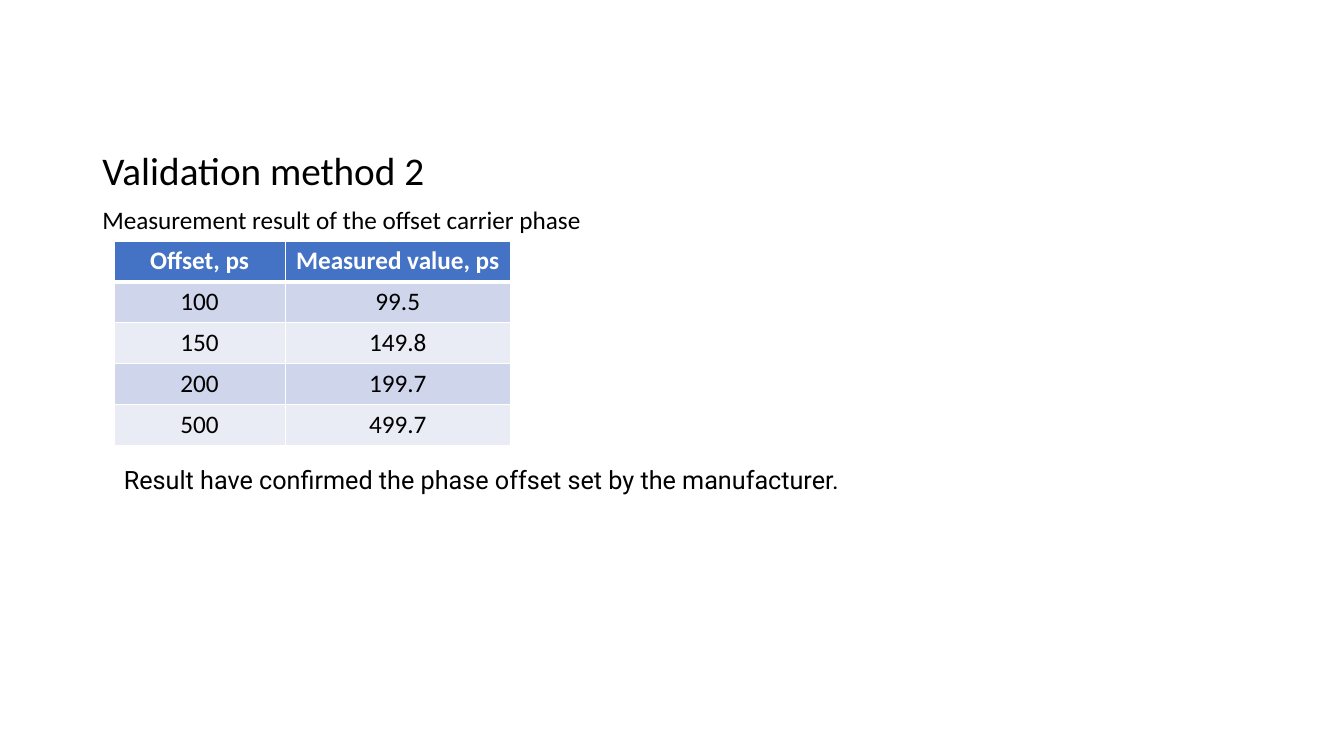
from dataclasses import dataclass

from lxml.etree import SubElement
from pptx import Presentation
from pptx.dml.color import RGBColor
from pptx.enum.text import MSO_ANCHOR, PP_ALIGN
from pptx.oxml.ns import qn
from pptx.util import Pt

BLACK, WHITE = "000000", "FFFFFF"
HEADER_FILL = "4472C4"
BAND_FILLS = ("CFD5EA", "E9EBF5")
ROW_HEIGHT = 29.2
COLUMN_WIDTHS = (122.4, 160.6)
MEASUREMENTS = (
    ("Offset, ps", "Measured value, ps"),
    ("100", "99.5"),
    ("150", "149.8"),
    ("200", "199.7"),
    ("500", "499.7"),
)


@dataclass(frozen=True)
class TextLine:
    wording: str
    left: float
    top: float
    width: float
    height: float
    size: float = 18
    font: str = "Calibri"
    align: PP_ALIGN = PP_ALIGN.LEFT


HEADING = TextLine("Validation method 2", 66, 104, 828, 34, size=28)
CAPTION = TextLine("Measurement result of the offset carrier phase", 66, 145, 828, 23)
CONCLUSION = TextLine(
    "Result have confirmed the phase offset set by the manufacturer.",
    81.4, 331, 648, 23, font="Roboto", align=PP_ALIGN.JUSTIFY)


def rgb(value: str) -> RGBColor:
    return RGBColor.from_string(value)


def add_run(frame, wording: str, size: float, font: str, align: PP_ALIGN,
            color: str = BLACK, bold: bool = False) -> None:
    paragraph = frame.paragraphs[0]
    paragraph.alignment = align
    run = paragraph.add_run()
    run.text = wording
    run.font.size = Pt(size)
    run.font.name = font
    run.font.bold = bold
    run.font.color.rgb = rgb(color)


def place_line(holder, line: TextLine) -> None:
    holder.left, holder.top = Pt(line.left), Pt(line.top)
    holder.width, holder.height = Pt(line.width), Pt(line.height)
    frame = holder.text_frame
    frame.word_wrap = True
    frame.vertical_anchor = MSO_ANCHOR.MIDDLE
    frame.margin_top = frame.margin_bottom = 0
    add_run(frame, line.wording, line.size, line.font, line.align)


def set_borders(cell, top: float, bottom: float) -> None:
    properties = cell._tc.get_or_add_tcPr()
    for side, width in (("L", 1), ("R", 1), ("T", top), ("B", bottom)):
        border = SubElement(properties, qn(f"a:ln{side}"), w=str(Pt(width)))
        fill = SubElement(border, qn("a:solidFill"))
        SubElement(fill, qn("a:srgbClr"), val=WHITE)


def add_measurements(slide) -> None:
    table = slide.shapes.add_table(
        len(MEASUREMENTS), len(COLUMN_WIDTHS), Pt(81.4), Pt(172.1),
        Pt(sum(COLUMN_WIDTHS)), Pt(ROW_HEIGHT * len(MEASUREMENTS))).table
    for column, width in zip(table.columns, COLUMN_WIDTHS):
        column.width = Pt(width)
    for row, values in enumerate(MEASUREMENTS):
        is_header = row == 0
        table.rows[row].height = Pt(ROW_HEIGHT)
        for column, value in enumerate(values):
            cell = table.cell(row, column)
            set_borders(cell, top=3 if row == 1 else 1, bottom=3 if is_header else 1)
            cell.fill.solid()
            cell.fill.fore_color.rgb = rgb(HEADER_FILL if is_header else BAND_FILLS[(row - 1) % 2])
            add_run(cell.text_frame, value, 18, "Calibri", PP_ALIGN.CENTER,
                    WHITE if is_header else BLACK, is_header)


def main() -> None:
    presentation = Presentation()
    presentation.slide_width, presentation.slide_height = Pt(960), Pt(540)
    slide = presentation.slides.add_slide(presentation.slide_layouts[5])

    # Heading and table caption
    place_line(slide.shapes.title, HEADING)
    place_line(slide.shapes.add_textbox(0, 0, 0, 0), CAPTION)

    # Measured offsets
    add_measurements(slide)

    # Conclusion
    place_line(slide.shapes.add_textbox(0, 0, 0, 0), CONCLUSION)

    presentation.save("out.pptx")


if __name__ == "__main__":
    main()
